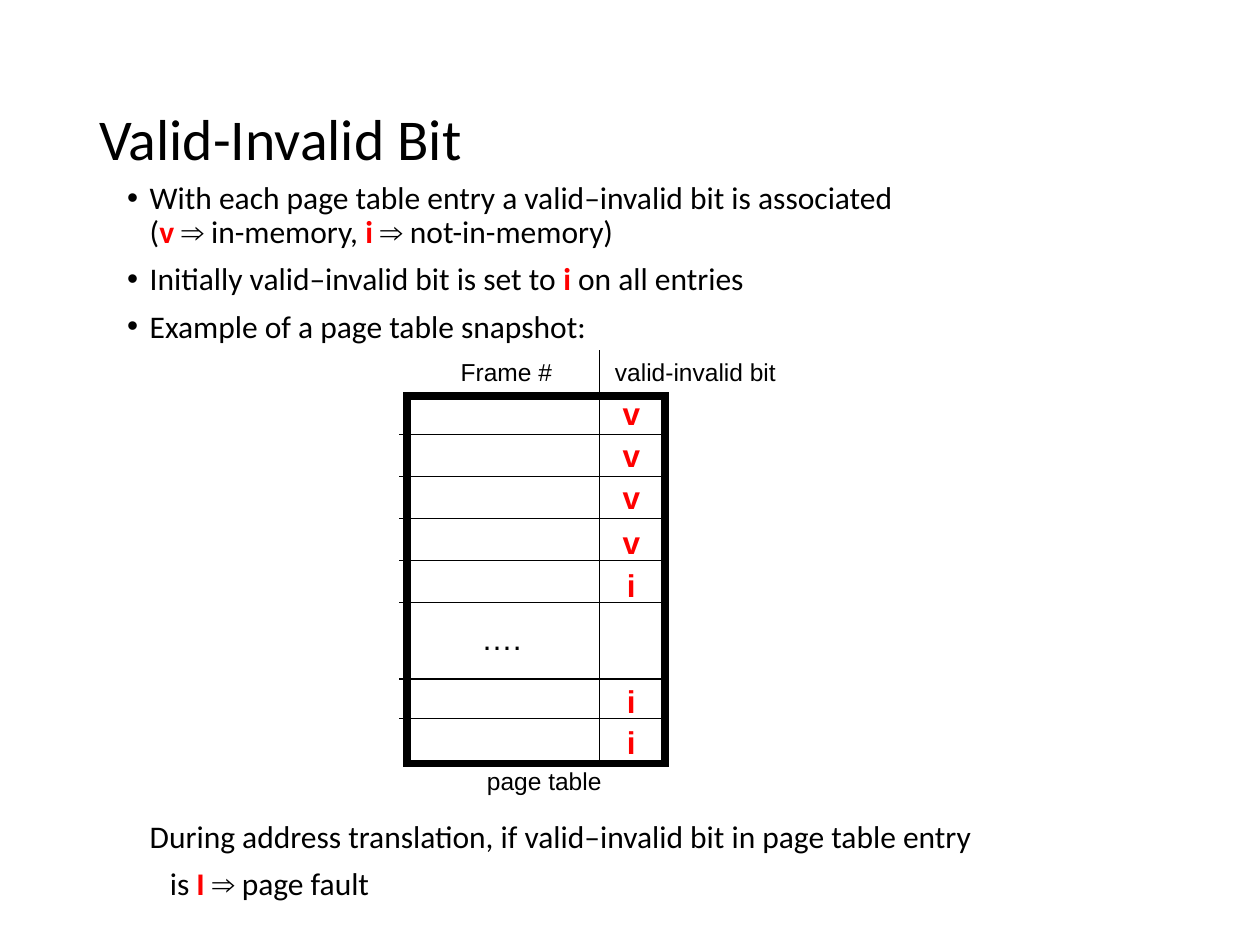
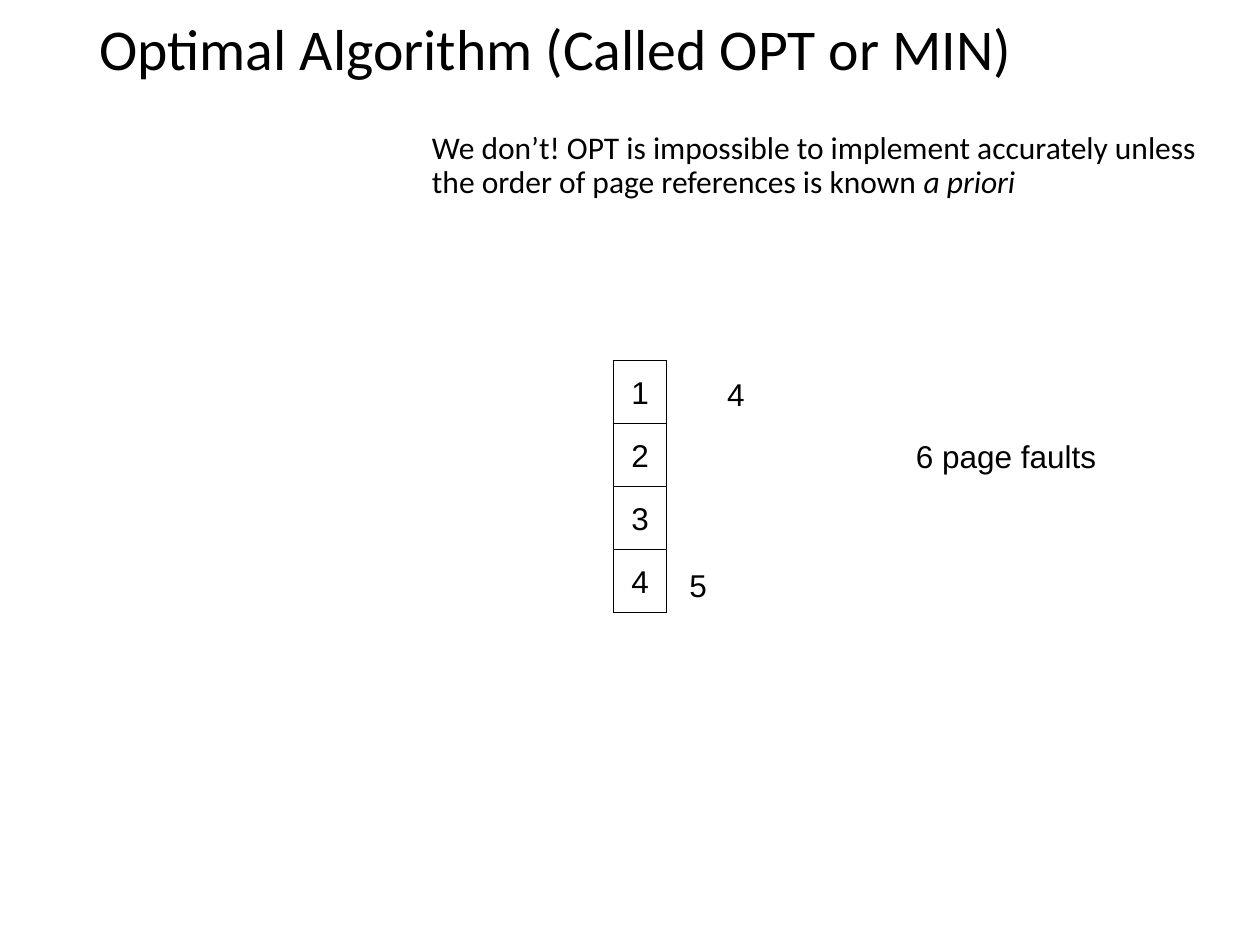
from lxml import etree
from pptx import Presentation
from pptx import util as u
from pptx.dml.color import RGBColor
from pptx.enum import shapes, text
from pptx.oxml.ns import qn

# The slide is a grid of 10 columns and 7.5 rows, each one inch.
COLS, ROWS = 10, 7.5
COLORS = {"ink": "000000", "mark": "FF0000", "paper": "FFFFFF"}
BODY, LABEL = "Calibri", "Arial"
ARROW = ("⇒", "arrow")


def grid(*cells):
    return [u.Inches(cell) for cell in cells]


def color(name):
    return RGBColor.from_string(COLORS[name])


def style(run, size, font, kind=""):
    run.font.size = u.Pt(size)
    run.font.name = LABEL if kind == "arrow" else font
    run.font.bold = kind == "mark"
    run.font.italic = kind == "italic"
    run.font.color.rgb = color("mark" if kind == "mark" else "ink")


def write(para, parts, size, font):
    """Fill a paragraph from (text, kind) parts; \\v starts a new line."""
    for words, kind in parts:
        for row, line in enumerate(words.split("\v")):
            if row:
                para.add_line_break()
            run = para.add_run()
            run.text = line
            style(run, size, font, kind)


def indent(para, left, hang=0, bullet=False):
    props = para._p.get_or_add_pPr()
    props.set("marL", str(u.Inches(left)))
    props.set("indent", str(u.Inches(-hang)))
    if bullet:
        etree.SubElement(props, qn("a:buFont")).set("typeface", LABEL)
        etree.SubElement(props, qn("a:buChar")).set("char", "•")


def add_box(slide, box):
    frame = slide.shapes.add_textbox(*grid(*box)).text_frame
    frame.word_wrap = True
    return frame


def add_title(slide, top, height, words):
    frame = add_box(slide, (0.69, top, 8.63, height))
    frame.vertical_anchor = text.MSO_ANCHOR.MIDDLE
    para = frame.paragraphs[0]
    para.line_spacing = 0.9
    write(para, [(words, "")], 33, BODY)


def add_body(slide, box, paras, bullet=False, lefts=None):
    frame = add_box(slide, box)
    for row, parts in enumerate(paras):
        para = frame.add_paragraph() if row else frame.paragraphs[0]
        para.line_spacing = 0.9
        para.space_before = u.Pt(7.5 if row else 0)
        if bullet:
            indent(para, 0.18, 0.18, True)
        elif lefts:
            indent(para, lefts[row])
        write(para, parts, 18, BODY)


def center(frame, words, size, kind=""):
    frame.word_wrap = False
    frame.vertical_anchor = text.MSO_ANCHOR.MIDDLE
    para = frame.paragraphs[0]
    para.alignment = text.PP_ALIGN.CENTER
    write(para, [(words, kind)], size, LABEL)


def add_label(slide, box, words, size=18, kind=""):
    center(add_box(slide, box), words, size, kind)


def add_rect(slide, box, weight, words=""):
    rect = slide.shapes.add_shape(shapes.MSO_SHAPE.RECTANGLE, *grid(*box))
    rect.shadow.inherit = False
    rect.fill.solid()
    rect.fill.fore_color.rgb = color("paper")
    rect.line.color.rgb = color("ink")
    rect.line.width = u.Pt(weight)
    edge = rect._element.spPr.find(qn("a:ln"))
    etree.SubElement(edge, qn("a:miter")).set("lim", "800000")
    if words:
        center(rect.text_frame, words, 18)


def add_rule(slide, *ends):
    rule = slide.shapes.add_connector(shapes.MSO_CONNECTOR.STRAIGHT, *grid(*ends))
    rule.line.color.rgb = color("ink")
    rule.line.width = u.Pt(0.75)
    etree.SubElement(rule._element.spPr, qn("a:effectLst"))


def draw_pages(slide):
    """Draw the page table with its valid-invalid column."""
    add_rect(slide, (3.23, 3.14, 2.05, 2.92), 4.5)
    for y in [3.45 + row / 3 for row in range(5)] + [5.39, 5.7]:
        add_rule(slide, 3.17, y, 5.26, y)
    add_rule(slide, 4.76, 2.78, 4.76, 6.03)
    tops = (3.08, 3.41, 3.74, 4.1, 4.44, 5.36, 5.69)
    for top, bit in zip(tops, "vvvviii"):
        add_label(slide, (4.84, top, 0.34, 0.4), bit, kind="mark")
    add_label(slide, (3.72, 4.86, 0.52, 0.4), "….")
    add_label(slide, (3.42, 2.78, 1.2, 0.34), "Frame #", 14)
    add_label(slide, (4.72, 2.78, 1.6, 0.34), "valid-invalid bit", 14)
    add_label(slide, (3.72, 6.03, 1.2, 0.34), "page table", 14)


def make_valid(slide):
    add_title(slide, 0.4, 1.45, "Valid-Invalid Bit")
    add_body(slide, (0.91, 1.4, 7.92, 1.4), [
        [("With each page table entry a valid–invalid bit is associated\v(", ""),
         ("v ", "mark"), ARROW, (" in-memory, ", ""),
         ("i ", "mark"), ARROW, (" not-in-memory)", "")],
        [("Initially valid–invalid bit is set to", ""), (" i ", "mark"),
         ("on all entries", "")],
        [("Example of a page table snapshot:", "")],
    ], bullet=True)
    add_body(slide, (1.09, 6.47, 7.74, 0.8), [
        [("During address translation, if valid–invalid bit in page table entry", "")],
        [("is", ""), (" I ", "mark"), ARROW, (" page fault", "")],
    ], lefts=(0, 0.16))
    draw_pages(slide)


def make_optimal(slide):
    add_title(slide, 0, 0.83, "Optimal Algorithm (Called OPT or MIN)")
    add_body(slide, (3.33, 1, 6.58, 5.83), [
        [("We don’t! OPT is impossible to implement accurately unless "
          "the order of page references is known ", ""),
         ("a priori", "italic")],
    ])
    for row in range(4):
        add_rect(slide, (4.87, 2.86 + row / 2, 0.42, 0.5), 0.75, str(row + 1))
    add_label(slide, (5.67, 2.93, 0.34, 0.4), "4")
    add_label(slide, (7.07, 3.42, 1.83, 0.4), "6 page faults")
    add_label(slide, (5.37, 4.44, 0.34, 0.4), "5")


def main():
    deck = Presentation()
    deck.slide_width, deck.slide_height = grid(COLS, ROWS)
    for make in (make_valid, make_optimal):
        make(deck.slides.add_slide(deck.slide_layouts[6]))
    deck.save("out.pptx")


if __name__ == "__main__":
    main()
